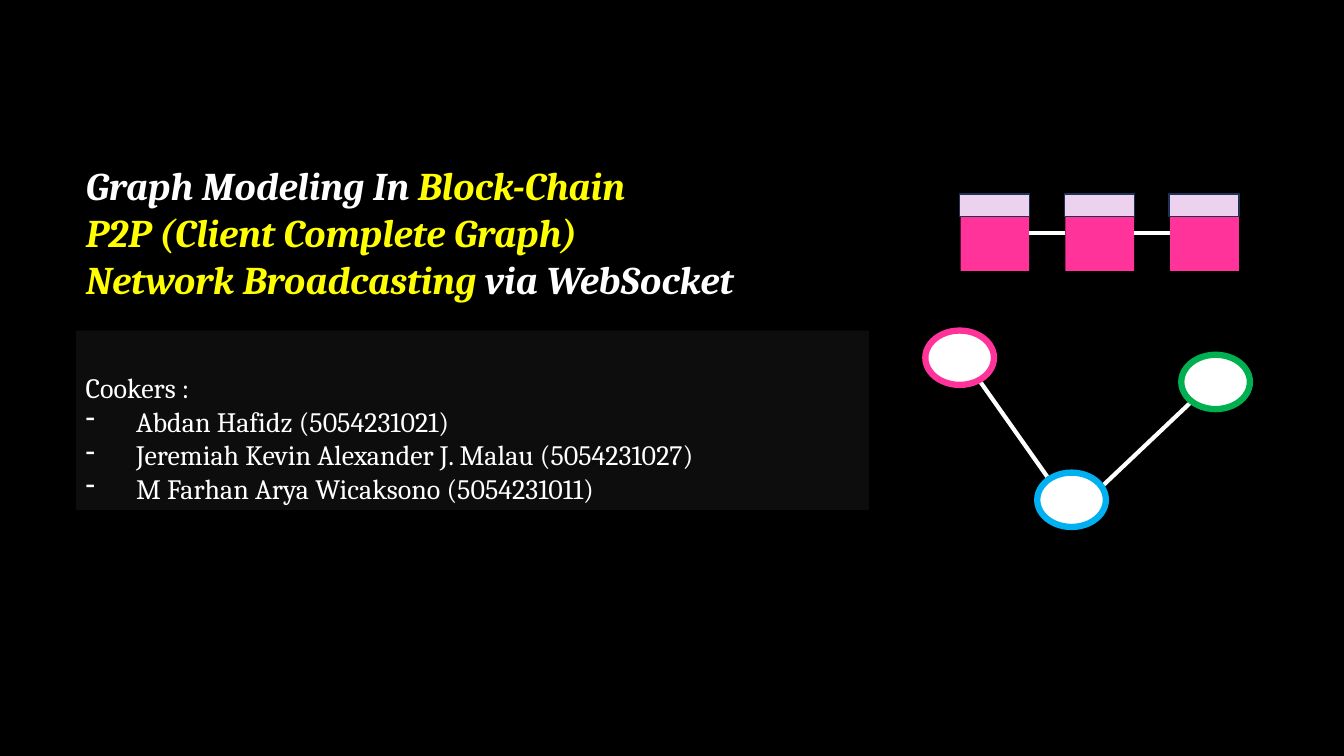
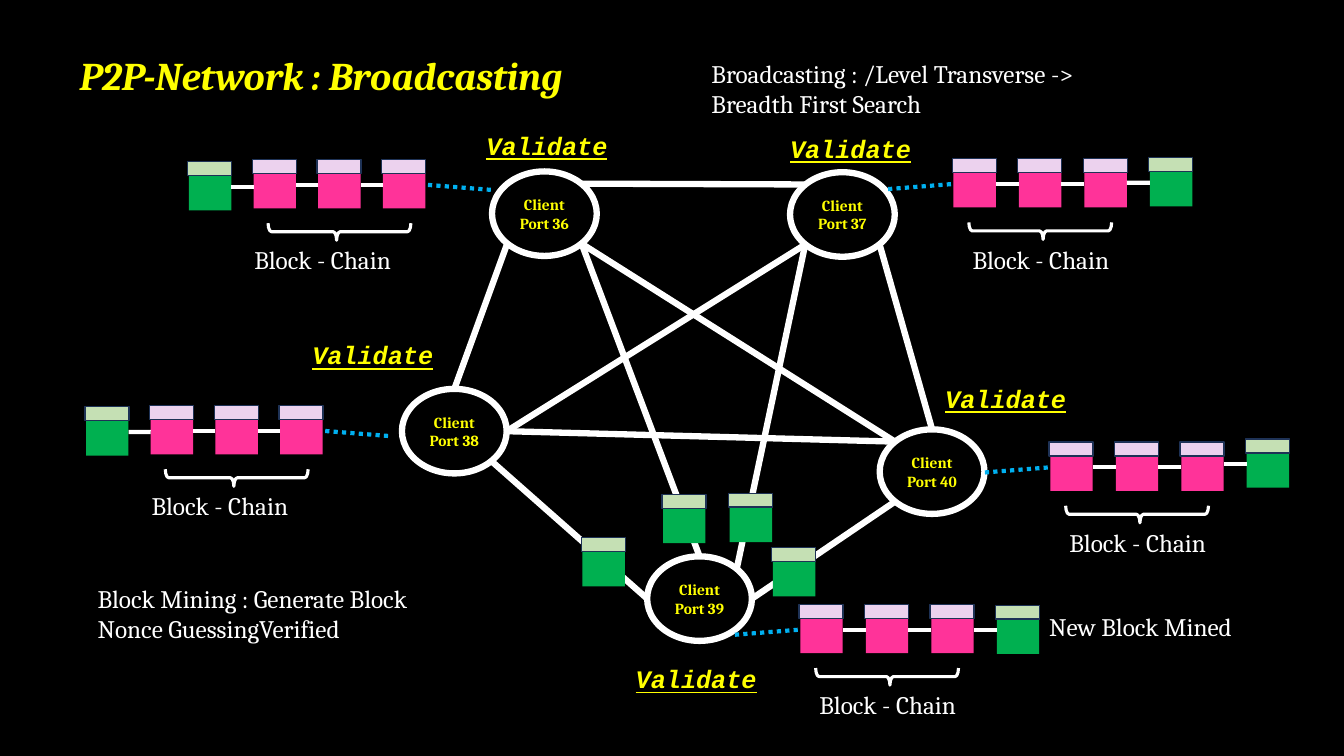
import lxml.etree
import pptx
import pptx.dml.color
import pptx.enum.dml
import pptx.enum.shapes
import pptx.enum.text
import pptx.oxml.ns
import pptx.util

Cm, Pt = pptx.util.Cm, pptx.util.Pt
SHAPE = pptx.enum.shapes.MSO_SHAPE
ANCHOR = pptx.enum.text.MSO_ANCHOR
ALIGN = pptx.enum.text.PP_ALIGN
qn = pptx.oxml.ns.qn

COLORS = {
    "background": "000000", "panel": "0D0D0D", "white": "FFFFFF",
    "yellow": "FFFF00", "pink": "FF3399", "pink lid": "ECD2EE",
    "green": "00B050", "green lid": "C5E0B4", "blue": "00B0F0",
    "lid edge": "1E3256",
}
TOP, LEFT, BOTTOM, RIGHT = range(4)
DIAGONAL = 0.71
ELLIPSE_POINTS = {
    "top": (0, -1), "left": (-1, 0), "right": (1, 0),
    "top left": (-DIAGONAL, -DIAGONAL), "top right": (DIAGONAL, -DIAGONAL),
    "bottom left": (-DIAGONAL, DIAGONAL), "bottom right": (DIAGONAL, DIAGONAL),
}
BLOCK_SIZE = (1.07, 1.19)
CLIENT_SIZE = (2.64, 2.13)

# port: client corner, chain's first block, direction, step, new block's drop, "Validate" corner
CLIENTS = {
    36: ((12.4, 4.32), (9.65, 4.06), -1, 1.63, 0.05, (12.01, 3.15)),
    37: ((19.91, 4.34), (24.03, 4.04), 1, 1.65, -0.03, (19.66, 3.23)),
    38: ((10.13, 9.8), (7.06, 10.26), -1, 1.63, 0.03, (7.62, 8.43)),
    39: ((16.31, 14.02), (20.17, 15.27), 1, 1.65, 0.02, (15.77, 16.59)),
    40: ((22.17, 10.82), (26.47, 11.18), 1, 1.65, -0.08, (23.57, 9.53)),
}
EDGES = [
    (36, "bottom left", 38, "top"), (36, "top right", 37, "top left"),
    (38, "bottom right", 39, "left"), (39, "right", 40, "bottom left"),
    (37, "bottom right", 40, "top"), (37, "bottom left", 38, "right"),
    (36, "bottom right", 40, "top left"), (36, "bottom right", 39, "top"),
    (37, "bottom left", 39, "top right"), (40, "top left", 38, "right"),
]
SENT_BLOCKS = [(14.68, 13.59), (16.71, 12.5), (18.39, 12.47), (19.48, 13.84)]


def rgb(name):
    return pptx.dml.color.RGBColor.from_string(COLORS[name])


class Deck:
    font = "Cambria"

    def __init__(self):
        self.prs = pptx.Presentation()
        self.prs.slide_width, self.prs.slide_height = Cm(33.87), Cm(19.05)
        fill = self.prs.slide_master.background.fill
        fill.solid()
        fill.fore_color.rgb = rgb("background")

    def add_slide(self):
        self.s = self.prs.slides.add_slide(self.prs.slide_layouts[5])

    def style(self, r, size, color="white", font=None, bold=False, italic=False, underline=False):
        f = r.font
        f.name, f.size, f.color.rgb = font or self.font, Pt(size), rgb(color)
        f.bold, f.italic, f.underline = bold, italic, underline

    def set_text(self, sp, text, size, align=ALIGN.LEFT, anchor=ANCHOR.TOP, **look):
        tf = sp.text_frame
        tf.word_wrap, tf.vertical_anchor = True, anchor
        tf.text = text
        for p in tf.paragraphs:
            p.alignment = align
            for r in p.runs:
                self.style(r, size, **look)

    def title(self, x, y, w, h, lines):
        """Fill the title; each line is a list of (text, color) runs."""
        sp = self.s.shapes.title
        sp.left, sp.top, sp.width, sp.height = Cm(x), Cm(y), Cm(w), Cm(h)
        tf = sp.text_frame
        tf.word_wrap, tf.vertical_anchor = True, ANCHOR.TOP
        tf.auto_size = pptx.enum.text.MSO_AUTO_SIZE.NONE
        for i, line in enumerate(lines):
            p = tf.add_paragraph() if i else tf.paragraphs[0]
            p.alignment = ALIGN.LEFT
            for text, color in line:
                r = p.add_run()
                r.text = text
                self.style(r, 28, color, bold=True, italic=True)

    def label(self, x, y, w, h, text, **look):
        sp = self.s.shapes.add_textbox(Cm(x), Cm(y), Cm(w), Cm(h))
        self.set_text(sp, text, 18, **look)

    def shape(self, kind, x, y, w, h, fill=None, line=None, weight=1):
        sp = self.s.shapes.add_shape(kind, Cm(x), Cm(y), Cm(w), Cm(h))
        sp.shadow.inherit = False
        if fill:
            sp.fill.solid()
            sp.fill.fore_color.rgb = rgb(fill)
        else:
            sp.fill.background()
        if line:
            sp.line.color.rgb, sp.line.width = rgb(line), Pt(weight)
        else:
            sp.line.fill.background()
        return sp

    def line(self, start, end, weight=3, color="white", dotted=False):
        points = [Cm(v) for v in (*start, *end)]
        c = self.s.shapes.add_connector(pptx.enum.shapes.MSO_CONNECTOR.STRAIGHT, *points)
        c.line.color.rgb, c.line.width = rgb(color), Pt(weight)
        if dotted:
            c.line.dash_style = pptx.enum.dml.MSO_LINE.ROUND_DOT
        lxml.etree.SubElement(c._element.spPr, qn("a:effectLst"))
        return c

    def bullets(self, paragraphs):
        for p in paragraphs:
            pPr = p._p.get_or_add_pPr()
            pPr.set("marL", str(Cm(1.27)))
            pPr.set("indent", str(-Cm(1.27)))
            lxml.etree.SubElement(pPr, qn("a:buChar")).set("char", "-")

    def block(self, x, y, size=BLOCK_SIZE, color="pink"):
        w, h = size
        sp = self.shape(SHAPE.RECTANGLE, x, y, w, h, color)
        self.shape(SHAPE.RECTANGLE, x - 0.03, y - 0.04, w + 0.04, 0.295 * h,
                   color + " lid", "lid edge")
        return sp

    def chain(self, x, y, step, size=BLOCK_SIZE):
        """Draw three linked blocks; a negative step runs to the left."""
        blocks = [self.block(x + i * step, y, size) for i in range(3)]
        near, far = (RIGHT, LEFT) if step > 0 else (LEFT, RIGHT)
        for a, b in zip(blocks, blocks[1:]):
            c = self.line((x, y), (x, y))
            c.begin_connect(a, near)
            c.end_connect(b, far)
        return blocks

    def client_chain(self, x, y, direction, step, drop):
        """Draw a client's chain with its dotted link, brace, label and new block."""
        w, h = BLOCK_SIZE
        first = self.chain(x, y, direction * step)[0]
        side = LEFT if direction > 0 else RIGHT
        inner = x if direction > 0 else x + w
        middle = y + h / 2
        tail = (inner - direction * 1.65, middle + 0.13)
        self.line(tail, (inner, middle), color="blue", dotted=True).end_connect(first, side)

        row_left = min(x, x + 2 * direction * step)
        brace_w, brace_h = 0.43, 3.6
        center = row_left + step + w / 2
        brace = self.shape(SHAPE.RIGHT_BRACE, center - brace_w / 2, y + 1.78 - brace_h / 2,
                           brace_w, brace_h, line="white", weight=2.25)
        brace.rotation = 90
        brace.adjustments[0] = 0.2
        brace.adjustments[1] = 0.5 - direction * 0.02
        self.label(row_left + direction * 0.23, y + 1.98, 4.39, 1.02, "Block - Chain")

        new = self.block(x + 3 * direction * step, y + drop, color="green")
        outer = inner + direction * (2 * step + w)
        start = (outer, middle + drop)
        self.line(start, start).end_connect(new, side)

    def client(self, x, y, port):
        sp = self.shape(SHAPE.OVAL, x, y, *CLIENT_SIZE, line="white", weight=4.5)
        self.set_text(sp, f"Client Port {port}", 11, ALIGN.CENTER, ANCHOR.MIDDLE,
                      color="yellow", bold=True)


def client_point(port, name):
    (x, y), (w, h), (dx, dy) = CLIENTS[port][0], CLIENT_SIZE, ELLIPSE_POINTS[name]
    return x + w / 2 * (1 + dx), y + h / 2 * (1 + dy)


def cover(deck):
    deck.add_slide()
    deck.title(1.91, 3.94, 19.13, 3.84, [
        [("Graph Modeling In ", "white"), ("Block-Chain", "yellow")],
        [("P2P (Client Complete Graph)", "yellow")],
        [("Network Broadcasting", "yellow"), (" via WebSocket", "white")],
    ])
    panel = deck.shape(SHAPE.RECTANGLE, 1.91, 8.33, 19.99, 4.52, "panel")
    deck.set_text(panel, "\n".join([
        "Cookers :",
        "Abdan Hafidz (5054231021)",
        "Jeremiah Kevin Alexander J. Malau (5054231027)",
        "M Farhan Arya Wicaksono (5054231011)",
    ]), 20, anchor=ANCHOR.BOTTOM)
    deck.bullets(panel.text_frame.paragraphs[1:])

    deck.chain(24.21, 4.93, 2.64, (1.73, 1.9))
    deck.line((24.71, 9.63), (26.39, 12.01))
    deck.line((30.07, 10.08), (27.81, 12.22))
    for x, y, color in [(23.32, 8.33, "pink"), (26.14, 11.91, "blue"), (29.77, 8.94, "green")]:
        deck.shape(SHAPE.OVAL, x, y, 1.73, 1.37, "white", color, 4.5)


def broadcasting(deck):
    deck.add_slide()
    deck.title(1.75, 1.17, 14.88, 1.45, [[("P2P-Network : Broadcasting", "yellow")]])
    for a, a_point, b, b_point in EDGES:
        deck.line(client_point(a, a_point), client_point(b, b_point), 4.5)
    for port, (corner, first_block, direction, step, drop, validate) in CLIENTS.items():
        deck.client(*corner, port)
        deck.client_chain(*first_block, direction, step, drop)
        deck.label(*validate, 3.9, 1.02, "Validate", color="yellow", font="Courier New",
                   bold=True, italic=True, underline=True)
    for x, y in SENT_BLOCKS:
        deck.block(x, y, color="green")
    deck.label(26.19, 15.29, 5.51, 1.02, "New Block Mined")
    deck.label(2.21, 14.58, 9.42, 1.8, "Block Mining : Generate Block\nNonce GuessingVerified")
    deck.label(17.68, 1.35, 10.92, 1.8,
               "Broadcasting : /Level Transverse ->\nBreadth First Search")


def main():
    deck = Deck()
    cover(deck)
    broadcasting(deck)
    deck.prs.save("out.pptx")


if __name__ == "__main__":
    main()
